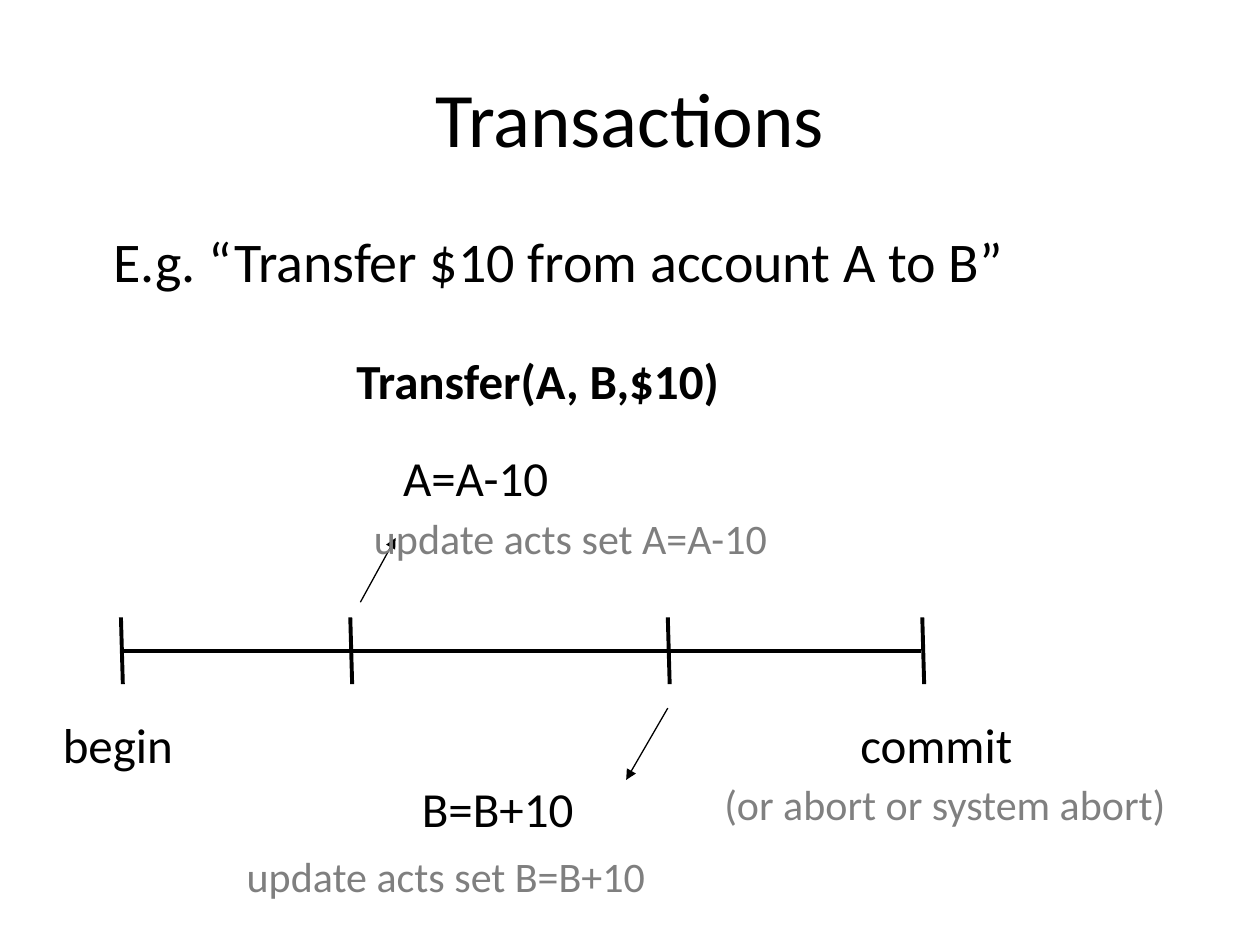
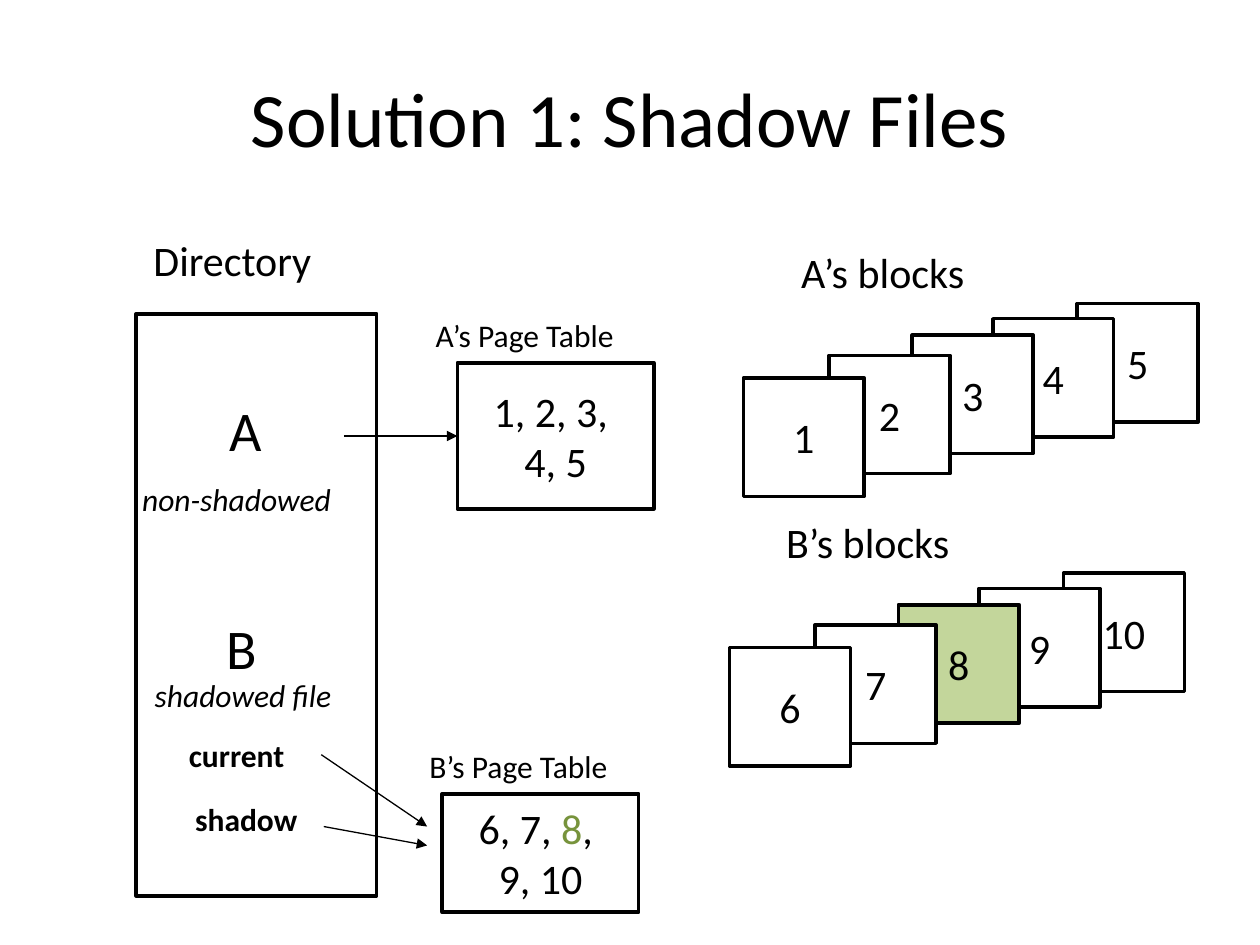
from lxml import etree
from pptx import Presentation
from pptx.dml.color import RGBColor
from pptx.enum.shapes import MSO_CONNECTOR, MSO_SHAPE
from pptx.enum.text import MSO_ANCHOR, PP_ALIGN
from pptx.oxml.ns import qn
from pptx.util import Inches, Pt

RECTANGLE = MSO_SHAPE.RECTANGLE
STRAIGHT = MSO_CONNECTOR.STRAIGHT
LEFT, CENTER = PP_ALIGN.LEFT, PP_ALIGN.CENTER
TOP, MIDDLE = MSO_ANCHOR.TOP, MSO_ANCHOR.MIDDLE

BLACK = RGBColor(0x00, 0x00, 0x00)
WHITE = RGBColor(0xFF, 0xFF, 0xFF)
ABORT_GREY = RGBColor(0x80, 0x80, 0x80)
UPDATE_GREY = RGBColor(0x7F, 0x7F, 0x7F)
PALE_GREEN = RGBColor(0xC3, 0xD6, 0x9B)
DARK_GREEN = RGBColor(0x77, 0x93, 0x3C)

FONT = "Calibri"
COLUMNS, ROWS = 100, 75  # grid of the slide; every length below is in cells
CELL = Inches(0.1)

# Steps of a fanned stack of blocks, counted from its front block
STACK_RIGHT = (0, 6.8, 13.4, 19.8, 26.5)
STACK_UP = (0, 1.8, 3.4, 4.7, 5.9)
BLOCK_SIZE = (9.6, 9.4)


def cells(*counts):
    return [round(count * CELL) for count in counts]


def write(frame, lines, size, color=BLACK, align=LEFT, anchor=TOP,
          bold=False, italic=False):
    """Fill a text frame; a line is a string or a list of (text, color)."""
    frame.word_wrap = True
    frame.vertical_anchor = anchor
    for number, line in enumerate(lines):
        paragraph = frame.add_paragraph() if number else frame.paragraphs[0]
        paragraph.alignment = align
        font = paragraph.font
        font.name, font.size = FONT, Pt(size)
        font.bold, font.italic = bold, italic
        parts = [(line, color)] if isinstance(line, str) else line
        for text, part_color in parts:
            run = paragraph.add_run()
            run.text = text
            run.font.color.rgb = part_color


def add_label(slide, text, left, top, width, size=24, **style):
    """Text box one line high."""
    height = size / 6 + 1
    label = slide.shapes.add_textbox(*cells(left, top, width, height))
    write(label.text_frame, [text], size, **style)


def add_titled_slide(deck, title):
    slide = deck.slides.add_slide(deck.slide_layouts[6])
    title_box = slide.shapes.add_textbox(*cells(5, 3, COLUMNS - 10, 12.5))
    write(title_box.text_frame, [title], 44, align=CENTER, anchor=MIDDLE)
    return slide


def add_line(slide, start, end, weight=2.25, arrow=False):
    line = slide.shapes.add_connector(STRAIGHT, *cells(*start, *end))
    line.line.color.rgb = BLACK
    line.line.width = Pt(weight)
    properties = line._element.spPr
    if arrow:
        outline = properties.find(qn("a:ln"))
        etree.SubElement(outline, qn("a:tailEnd"), type="triangle")
    etree.SubElement(properties, qn("a:effectLst"))


def add_arrow(slide, start, end):
    add_line(slide, start, end, weight=0.75, arrow=True)


def add_box(slide, left, top, width, height, lines=(), fill=WHITE):
    box = slide.shapes.add_shape(RECTANGLE, *cells(left, top, width, height))
    box.shadow.inherit = False
    box.fill.solid()
    box.fill.fore_color.rgb = fill
    box.line.color.rgb = BLACK
    box.line.width = Pt(2)
    write(box.text_frame, lines, 24, align=CENTER, anchor=MIDDLE)


def add_block_stack(slide, left, top, first, changed=None):
    """Numbered blocks, drawn from the rear to the front one."""
    steps = list(enumerate(zip(STACK_RIGHT, STACK_UP), first))
    for number, (right, up) in reversed(steps):
        fill = PALE_GREEN if number == changed else WHITE
        add_box(slide, left + right, top - up, *BLOCK_SIZE, [str(number)], fill)


def build_transactions(deck):
    slide = add_titled_slide(deck, "Transactions")
    add_label(slide, "E.g. “Transfer $10 from account A to B”", 8, 17.5, 87, 32)
    add_label(slide, "Transfer(A, B,$10)", 27.3, 27.3, 42, 28, bold=True)

    # Timeline with slightly leaning ticks
    add_line(slide, (9.6, 51.7), (73.1, 51.7))
    for tick in (9.6, 27.8, 53, 73.2):
        add_line(slide, (tick, 49), (tick + 0.15, 54.3))
    add_arrow(slide, (28.6, 47.8), (31.4, 42.7))
    add_arrow(slide, (53, 56.2), (49.7, 61.9))

    # Steps of the transaction
    for step, left, top, width in (("begin", 4, 56.2, 12.8),
                                   ("commit", 67.3, 56.2, 16.6),
                                   ("A=A-10", 31, 35, 16.8),
                                   ("B=B+10", 32.5, 61.3, 18.7)):
        add_label(slide, step, left, top, width, 28)

    # Remarks on the steps
    for remark, left, top, color in (
            ("(or abort or system abort)", 56.5, 61.3, ABORT_GREY),
            ("update acts set A=A-10", 28.7, 40.2, UPDATE_GREY),
            ("update acts set B=B+10", 18.6, 67, UPDATE_GREY)):
        add_label(slide, remark, left, top, 43, color=color)


def build_shadow_files(deck):
    slide = add_titled_slide(deck, "Solution 1: Shadow Files")

    # Directory and its two files
    add_box(slide, 10.8, 24.9, 19.1, 46.2)
    add_label(slide, "Directory", 11.2, 18.1, 17.3)
    add_label(slide, "A", 17.2, 30.9, 5, 32)
    add_label(slide, "B", 17, 48.2, 5, 32)
    add_label(slide, "non-shadowed", 10.3, 37.6, 20.3, 18, italic=True)
    add_label(slide, "shadowed file", 11.3, 53.2, 19.3, 18, italic=True)
    add_label(slide, "current", 14, 57.9, 12.5, 18, bold=True)
    add_label(slide, "shadow", 14.5, 63, 12.5, 18, bold=True)

    # Page tables
    add_label(slide, "A’s Page Table", 33.6, 24.6, 19.9, 18)
    add_box(slide, 36.3, 28.8, 15.6, 11.6, ["1, 2, 3, ", "4, 5"])
    add_label(slide, "B’s Page Table", 33.1, 58.8, 19.9, 18)
    changed_row = [("6, 7, ", BLACK), ("8", DARK_GREEN), (", ", BLACK)]
    add_box(slide, 35.1, 63, 15.6, 9.4, [changed_row, "9, 10"])

    # Pointers from the directory to the page tables
    add_arrow(slide, (27.3, 34.6), (36.3, 34.6))
    add_arrow(slide, (25.5, 59.9), (33.9, 65.6))
    add_arrow(slide, (25.7, 65.6), (33.9, 67.1))

    # Blocks of each file
    add_label(slide, "A’s blocks", 62.6, 19.1, 18.7)
    add_block_stack(slide, 59, 30, first=1)
    add_label(slide, "B’s blocks", 61.4, 40.5, 18.7)
    add_block_stack(slide, 57.9, 51.4, first=6, changed=8)


def main():
    deck = Presentation()
    deck.slide_width, deck.slide_height = cells(COLUMNS, ROWS)
    build_transactions(deck)
    build_shadow_files(deck)
    deck.save("out.pptx")


if __name__ == "__main__":
    main()
